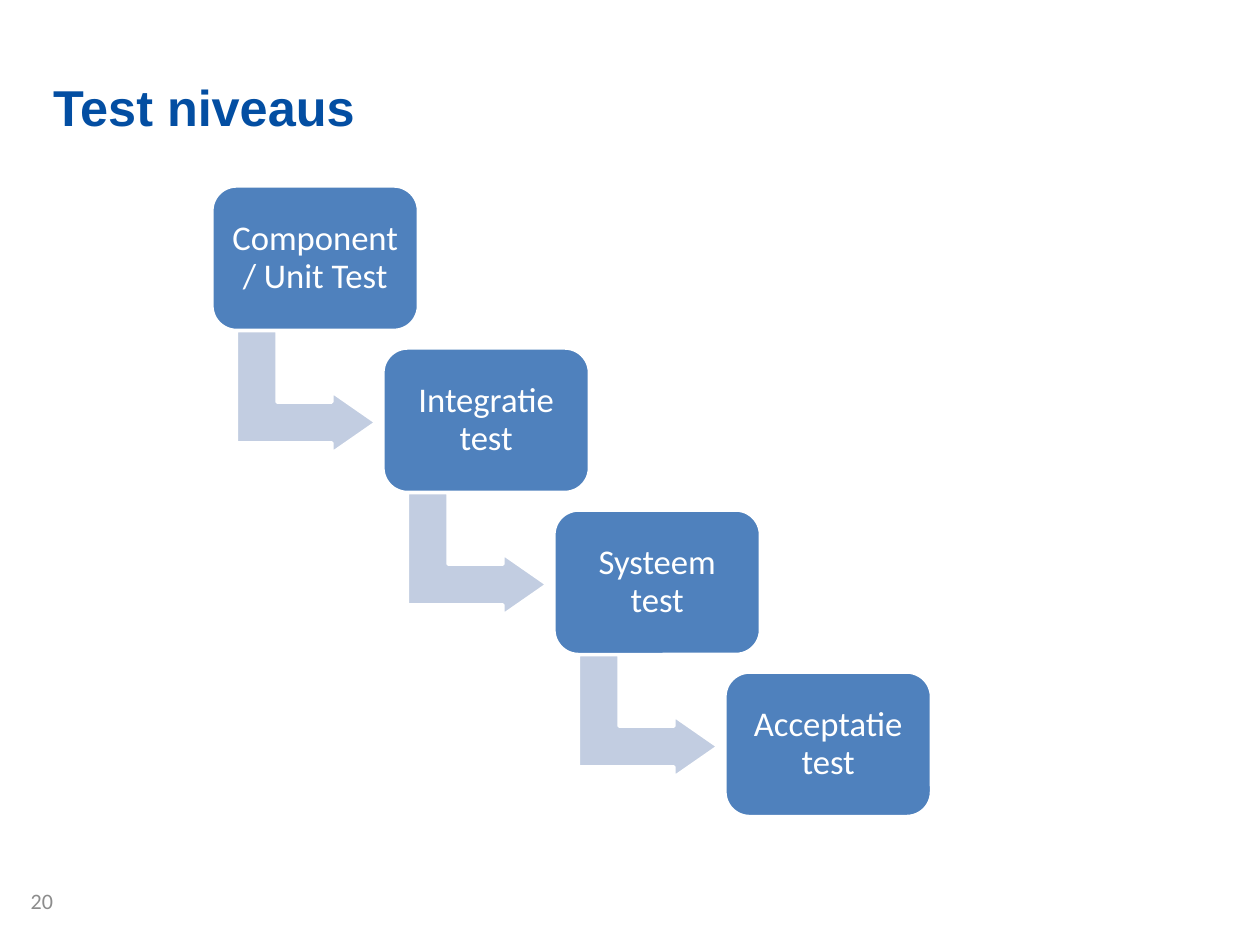
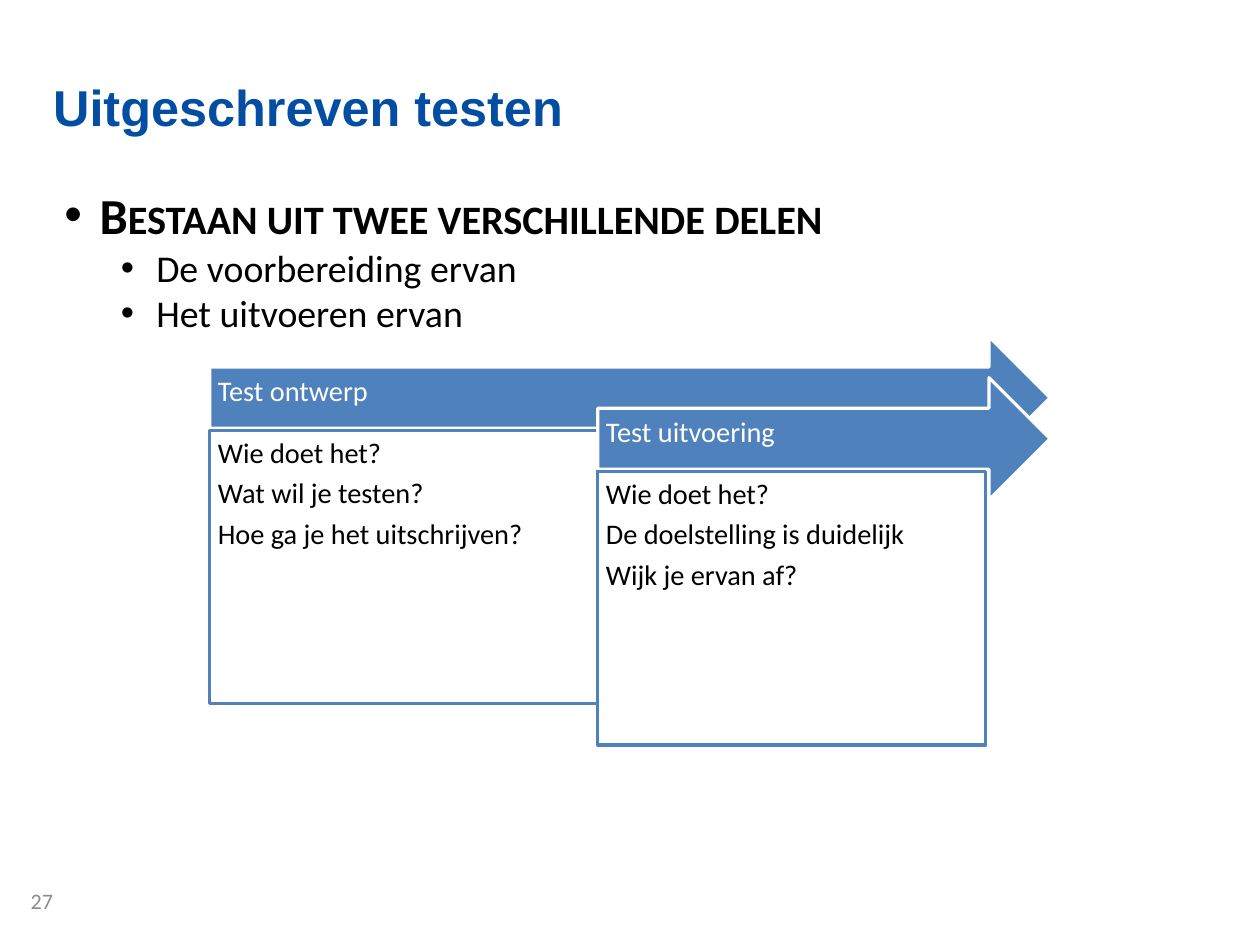
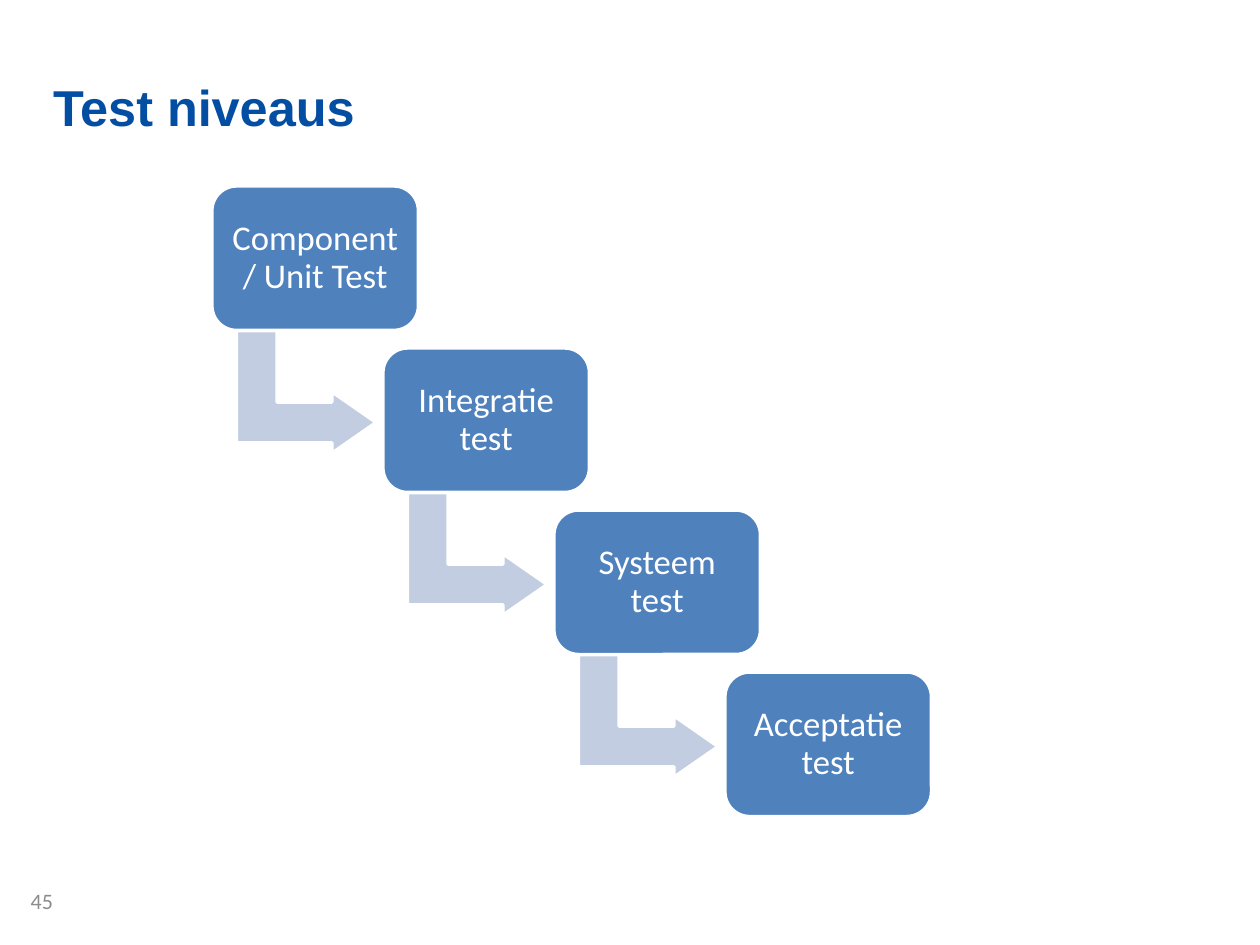
from lxml.etree import SubElement
from pptx import Presentation
from pptx.dml.color import RGBColor
from pptx.enum.shapes import MSO_SHAPE
from pptx.enum.text import MSO_ANCHOR, MSO_AUTO_SIZE, PP_ALIGN
from pptx.oxml.ns import qn
from pptx.util import Cm, Pt

# Content
LEVELS = ["Component / Unit Test", "Integratie test", "Systeem test", "Acceptatie test"]
POINTS = [
    (0, "Bestaan uit twee verschillende delen"),
    (1, "De voorbereiding ervan"),
    (1, "Het uitvoeren ervan"),
]
PHASES = [
    ("Test ontwerp", ["Wie doet het?", "Wat wil je testen?", "Hoe ga je het uitschrijven?"]),
    ("Test uitvoering", ["Wie doet het?", "De doelstelling is duidelijk", "Wijk je ervan af?"]),
]

# Shared style
HUES = {"title": "034EA2", "blue": "4F81BD", "pale": "C2CDE1",
        "grey": "8C8C8C", "white": "FFFFFF", "black": "000000"}
LEFT, WIDE = 1.19, 25.83
TITLE_ONLY, CONTENT = 5, 1


def hue(name):
    return RGBColor.from_string(HUES[name])


def place(shape, x, y, w, h):
    shape.left, shape.top, shape.width, shape.height = Cm(x), Cm(y), Cm(w), Cm(h)


def setup(frame, pads=(0, 0, 0, 0), anchor=MSO_ANCHOR.TOP):
    frame.word_wrap = True
    frame.auto_size = MSO_AUTO_SIZE.NONE
    frame.vertical_anchor = anchor
    (frame.margin_left, frame.margin_top,
     frame.margin_right, frame.margin_bottom) = map(Cm, pads)


def write(frame, lines, size, ink, face="Calibri", bold=False, align=PP_ALIGN.LEFT):
    """Fill a frame with one paragraph per line and return the paragraphs."""
    for i, line in enumerate(lines):
        para = frame.paragraphs[0] if i == 0 else frame.add_paragraph()
        para.alignment = align
        run = para.add_run()
        run.text = line
        font = run.font
        font.name, font.size, font.bold = face, Pt(size), bold
        font.color.rgb = hue(ink)
    return frame.paragraphs


def draw(slide, kind, x, y, w, h, fill, line="white", adjust=()):
    shape = slide.shapes.add_shape(kind, Cm(x), Cm(y), Cm(w), Cm(h))
    shape.shadow.inherit = False
    shape.fill.solid()
    shape.fill.fore_color.rgb = hue(fill)
    shape.line.color.rgb = hue(line)
    shape.line.width = Pt(2)
    for i, value in enumerate(adjust):
        shape.adjustments[i] = value
    return shape


def label(shape, lines, size, ink, pads, anchor, align=PP_ALIGN.LEFT):
    setup(shape.text_frame, pads, anchor)
    for para in write(shape.text_frame, lines, size, ink, align=align):
        para.line_spacing = 0.9
        para.space_after = Pt(0.35 * size)


def start(deck, layout, title, number):
    slide = deck.slides.add_slide(deck.slide_layouts[layout])
    head = slide.shapes.title
    place(head, LEFT, 1.7, WIDE, 2)
    setup(head.text_frame)
    write(head.text_frame, [title], 32, "title", "Arial", True)
    page = slide.shapes.add_textbox(0, Cm(19.89), Cm(LEFT), Cm(0.51))
    setup(page.text_frame)
    write(page.text_frame, [str(number)], 14, "grey", align=PP_ALIGN.RIGHT)
    return slide


def stairs(slide):
    """Step the test levels down, with a bent arrow between each two."""
    for i, level in enumerate(LEVELS):
        x, y = 4.75 + 3.83 * i, 4.17 + 3.63 * i
        if i < len(LEVELS) - 1:
            arrow = draw(slide, MSO_SHAPE.BENT_UP_ARROW, x + 0.74, y + 3.05,
                         2.74, 3.12, "pale", adjust=(0.33, 0.25, 0.36))
            arrow.rotation = 90
        box = draw(slide, MSO_SHAPE.ROUNDED_RECTANGLE, x, y, 4.62, 3.23,
                   "blue", adjust=(0.17,))
        label(box, [level], 22, "white", (0.23,) * 4, MSO_ANCHOR.MIDDLE, PP_ALIGN.CENTER)


def bullets(slide):
    body = slide.placeholders[1]
    place(body, LEFT, 3.99, WIDE, 14.4)
    frame = body.text_frame
    setup(frame, (0.25, 0.13, 0.25, 0.13))
    for para, (depth, _) in zip(write(frame, [t for _, t in POINTS], 24, "black"), POINTS):
        para.level = depth
        para.space_before = Pt(0)
        props = para._p.get_or_add_pPr()
        props.set("marL", str(Cm(0.79 + 1.27 * depth)))
        props.set("indent", str(Cm(-0.79)))
        SubElement(props, qn("a:buFont")).set("typeface", "Arial")
        SubElement(props, qn("a:buChar")).set("char", "•")
        if depth == 0:
            font = para.runs[0].font
            font.size, font.bold = Pt(32), True
            para.runs[0]._r.get_or_add_rPr().set("cap", "small")


def phases(slide):
    """Overlap the phases: an arrow as heading above a panel of questions."""
    wide = 8.69
    for i, (name, asks) in enumerate(PHASES):
        x, y = 4.7 + wide * i, 7.54 + 0.92 * i
        arrow = draw(slide, MSO_SHAPE.RIGHT_ARROW, x, y, 18.82 - wide * i, 2.74,
                     "blue", adjust=(0.5, 0.5))
        label(arrow, [name], 18, "white", (0.18, 0.18, 0.71, 0.43), MSO_ANCHOR.MIDDLE)
        panel = draw(slide, MSO_SHAPE.RECTANGLE, x, y + 2.11, wide, 6.12, "white", "blue")
        label(panel, asks, 18, "black", (0.18,) * 4, MSO_ANCHOR.TOP)


def main():
    deck = Presentation()
    deck.slide_width, deck.slide_height = Cm(28.22), Cm(21.17)
    stairs(start(deck, TITLE_ONLY, "Test niveaus", 20))
    slide = start(deck, CONTENT, "Uitgeschreven testen", 27)
    bullets(slide)
    phases(slide)
    stairs(start(deck, TITLE_ONLY, "Test niveaus", 45))
    deck.save("out.pptx")


if __name__ == "__main__":
    main()
